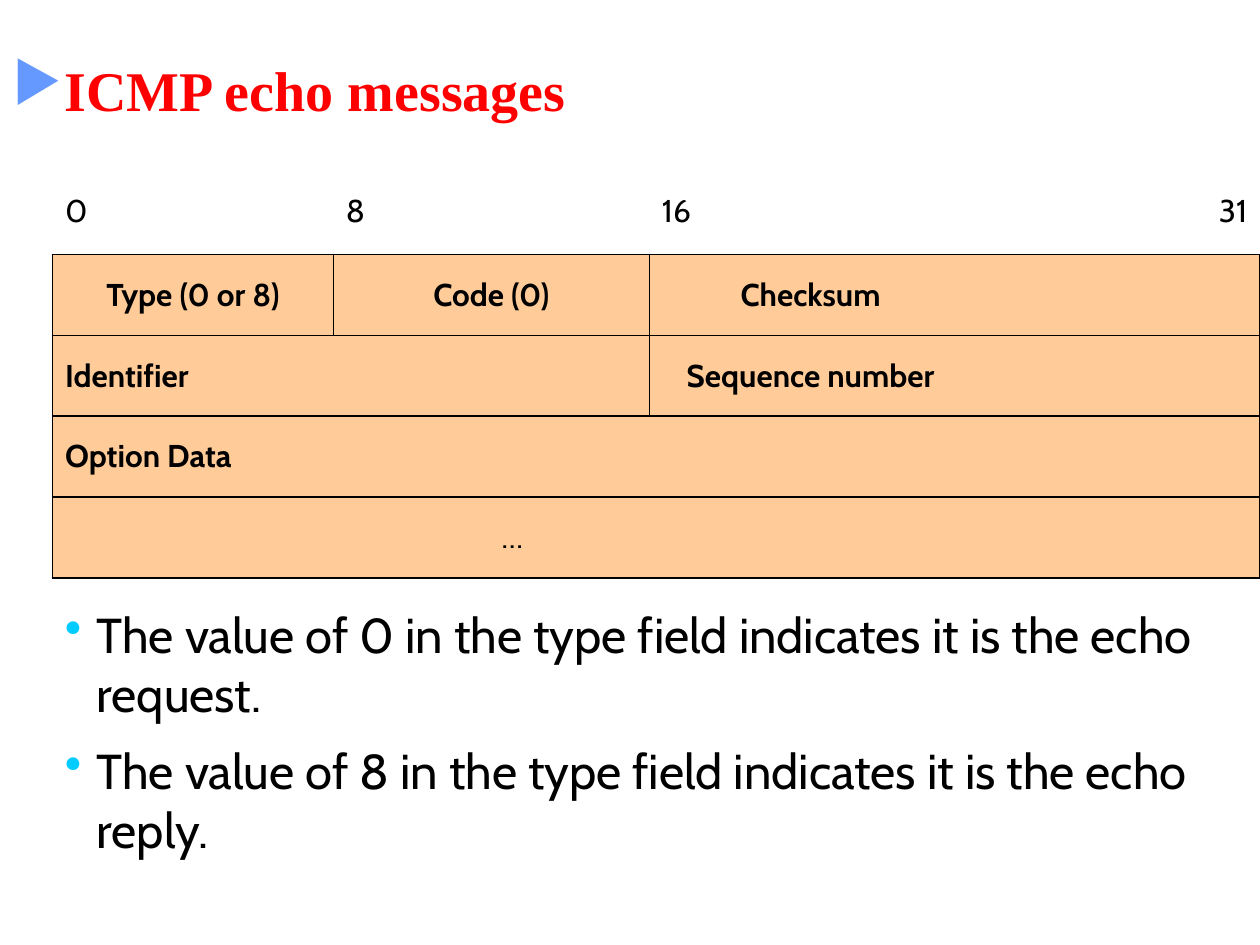
import dataclasses

import lxml.etree
import pptx
import pptx.dml.color
import pptx.enum.text
import pptx.oxml.ns
import pptx.util

Cm = pptx.util.Cm
Pt = pptx.util.Pt
qn = pptx.oxml.ns.qn
ALIGN = {"l": pptx.enum.text.PP_ALIGN.LEFT,
         "c": pptx.enum.text.PP_ALIGN.CENTER,
         "r": pptx.enum.text.PP_ALIGN.RIGHT}
MIDDLE = pptx.enum.text.MSO_ANCHOR.MIDDLE


@dataclasses.dataclass
class Theme:
    title_font: str = "Times New Roman"
    body_font: str = "Cabin"
    title_color: str = "FF0000"
    title_bullet: str = "6699FF"
    text_color: str = "000000"
    body_bullet: str = "00CCFF"
    field_fill: str = "FFCC99"
    border: str = "000000"
    title_size: int = 32
    body_size: int = 28
    table_size: int = 18
    outer_line: float = 1.08
    inner_line: float = 0.45


class SlideBuilder:
    def __init__(self, slide, theme):
        self.slide = slide
        self.theme = theme

    def run(self, p, text, font, size, color, bold=False):
        r = p.add_run()
        r.text = text
        r.font.name = font
        r.font.size = Pt(size)
        r.font.bold = bold
        r.font.color.rgb = pptx.dml.color.RGBColor.from_string(color)

    def bullet(self, p, char, color, indent):
        ppr = p._p.get_or_add_pPr()
        ppr.set("marL", str(indent))
        ppr.set("indent", str(-indent))
        clr = lxml.etree.SubElement(ppr, qn("a:buClr"))
        lxml.etree.SubElement(clr, qn("a:srgbClr")).set("val", color)
        lxml.etree.SubElement(ppr, qn("a:buChar")).set("char", char)

    def title(self, text, left, top, width, height):
        t = self.theme
        sp = self.slide.shapes.title
        sp.left, sp.top, sp.width, sp.height = left, top, width, height
        tf = sp.text_frame
        tf.vertical_anchor = MIDDLE
        p = tf.paragraphs[0]
        p.alignment = ALIGN["l"]
        self.bullet(p, "▶", t.title_bullet, 0)
        self.run(p, text, t.title_font, t.title_size, t.title_color, True)

    def bullets(self, items, left, top, width, height):
        t = self.theme
        tf = self.slide.shapes.add_textbox(left, top, width, height).text_frame
        tf.word_wrap = True
        for i, item in enumerate(items):
            p = tf.add_paragraph() if i else tf.paragraphs[0]
            if i:
                p.space_before = Pt(10.5)
            self.bullet(p, "•", t.body_bullet, Cm(0.64))
            self.run(p, item, t.body_font, t.body_size, t.text_color)

    def cell_text(self, cell, text, align, bold):
        t = self.theme
        cell.vertical_anchor = MIDDLE
        p = cell.text_frame.paragraphs[0]
        p.alignment = ALIGN[align]
        self.run(p, text, t.body_font, t.table_size, t.text_color, bold)

    def cell_borders(self, cell, widths):
        """Set left, right, top and bottom lines; a width of 0 hides one."""
        tcpr = cell._tc.get_or_add_tcPr()
        for i, (side, width) in enumerate(zip("LRTB", widths)):
            ln = lxml.etree.Element(qn("a:ln" + side))
            if width:
                ln.set("w", str(Pt(width)))
                fill = lxml.etree.SubElement(ln, qn("a:solidFill"))
                lxml.etree.SubElement(fill, qn("a:srgbClr")).set("val", self.theme.border)
            else:
                lxml.etree.SubElement(ln, qn("a:noFill"))
            tcpr.insert(i, ln)

    def packet_table(self, rows, dividers, merged, left, top, col_widths, row_heights):
        """Row 0 is the bit ruler; dividers lists each row's inner column edges."""
        t = self.theme
        n = len(col_widths)
        table = self.slide.shapes.add_table(
            len(rows), n, left, top, sum(col_widths), sum(row_heights)).table
        table.first_row = table.horz_banding = False
        for col, width in zip(table.columns, col_widths):
            col.width = width
        for row, height in zip(table.rows, row_heights):
            row.height = height
        for r, texts in enumerate(rows):
            # Outer edges are heavy, field dividers thin, other edges hidden
            edges = [t.inner_line if c in dividers[r] else 0 for c in range(n + 1)]
            if r:
                edges[0] = edges[n] = t.outer_line
            for c in range(n):
                cell = table.cell(r, c)
                if r:
                    cell.fill.solid()
                    cell.fill.fore_color.rgb = pptx.dml.color.RGBColor.from_string(t.field_fill)
                else:
                    cell.fill.background()
                above = t.outer_line if r else 0
                self.cell_borders(cell, (edges[c], edges[c + 1], above, t.outer_line))
                if c in texts:
                    self.cell_text(cell, *texts[c])
        for r, last in merged:
            table.cell(r, 0).merge(table.cell(r, last))


def main():
    prs = pptx.Presentation()
    prs.slide_width, prs.slide_height = Cm(25.4), Cm(19.05)
    slide = prs.slides.add_slide(prs.slide_layouts[5])
    builder = SlideBuilder(slide, Theme())

    # Heading
    builder.title("ICMP echo messages", Cm(0), Cm(0.84), Cm(25.4), Cm(1.9))

    # Message format: column -> (text, alignment, bold)
    rows = [
        {0: ("0", "l", False), 1: ("8", "l", False),
         2: ("16", "l", False), 3: ("31", "r", False)},
        {0: ("Type (0 or 8)", "c", True), 1: ("Code (0)", "c", True),
         2: ("Checksum", "c", True)},
        {0: ("Identifier", "l", True), 2: ("Sequence number", "c", True)},
        {0: ("Option Data", "l", True)},
        {0: ("…", "c", False)},
    ]
    builder.packet_table(
        rows, dividers=[(), (1, 2), (2,), (), ()], merged=[(3, 2), (4, 2)],
        left=Cm(1.06), top=Cm(3.38),
        col_widths=[Cm(w) for w in (5.66, 6.37, 6.5, 5.81)],
        row_heights=[Cm(1.75)] + [Cm(1.63)] * 4)

    # Meaning of the type field
    builder.bullets(
        [f"The value of {value} in the type field indicates it is the echo {kind}."
         for value, kind in ((0, "request"), (8, "reply"))],
        Cm(1.06), Cm(12.07), Cm(24.34), Cm(5.38))

    prs.save("out.pptx")


if __name__ == "__main__":
    main()
